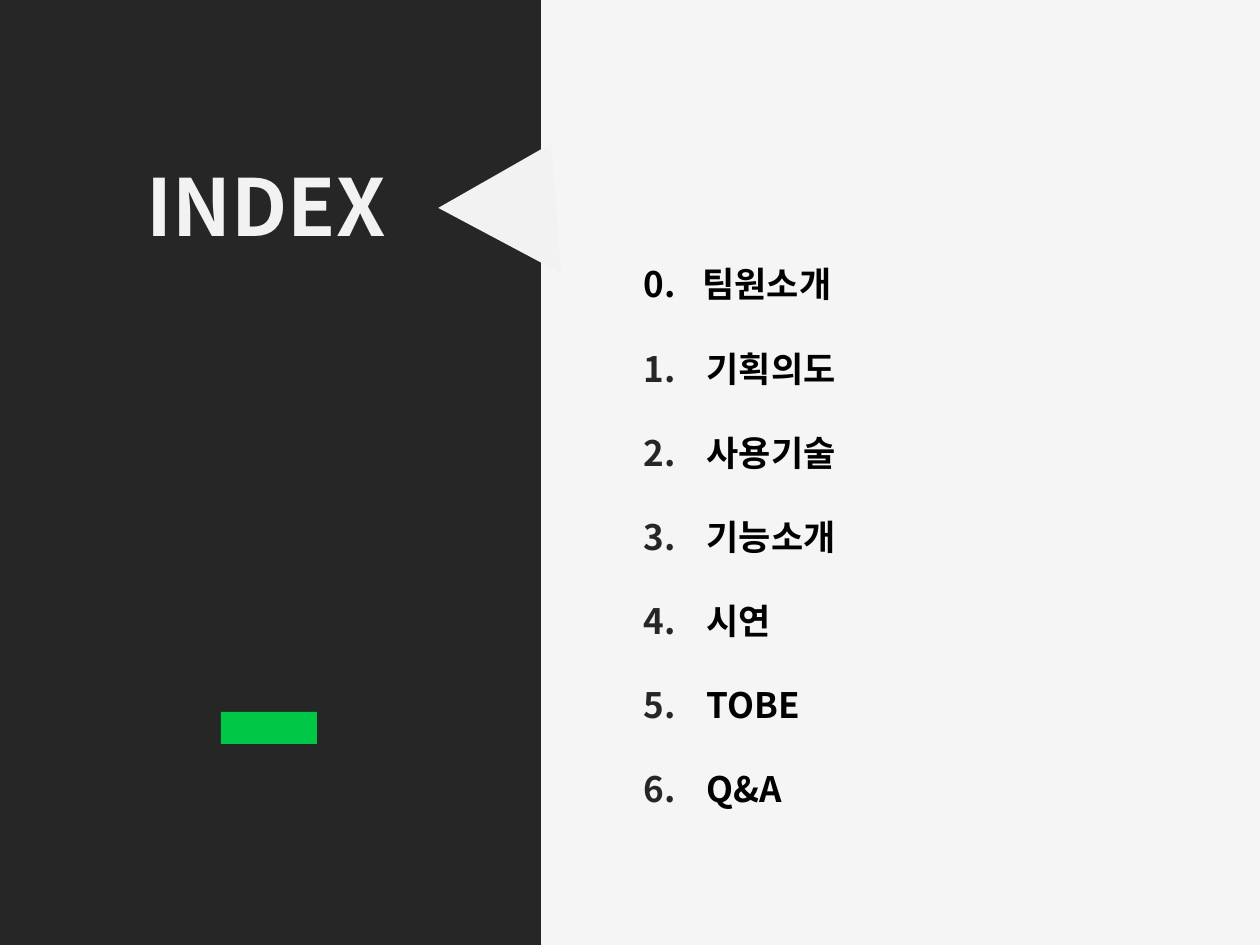
import pptx
import pptx.dml.color
import pptx.enum.shapes
import pptx.enum.text
import pptx.oxml.ns
import pptx.util
from lxml import etree

PX = 914400 / 126
KOREAN = "Noto Sans CJK KR"
DARK, LIGHT, BLACK, GREEN = "262626", "F2F2F2", "000000", "00C746"
TOPICS = ["기획의도", "사용기술", "기능소개", "시연", "TOBE", "Q&A"]


def px(length):
    return pptx.util.Emu(round(length * PX))


def colour(code):
    return pptx.dml.color.RGBColor.from_string(code)


def child(parent, tag, **attributes):
    return etree.SubElement(parent, pptx.oxml.ns.qn(tag), attributes)


def place(shape, left, top, width, height):
    shape.left, shape.top = px(left), px(top)
    shape.width, shape.height = px(width), px(height)


def add_backdrop(page, kind, bounds, fill, rotation=0):
    shape = page.shapes.add_shape(kind, *map(px, bounds))
    shape.shadow.inherit = False
    shape.fill.solid()
    shape.fill.fore_color.rgb = colour(fill)
    shape.line.fill.background()
    shape.rotation = rotation
    page.shapes.title.element.addprevious(shape.element)


def prepare_frame(box):
    frame = box.text_frame
    frame.word_wrap = True
    frame.auto_size = pptx.enum.text.MSO_AUTO_SIZE.NONE
    frame.vertical_anchor = pptx.enum.text.MSO_ANCHOR.TOP
    return frame


def add_text(para, text, size=20, font=KOREAN, fill=BLACK, bold=True):
    para.alignment = pptx.enum.text.PP_ALIGN.LEFT
    span = para.add_run()
    span.text = text
    span.font.size = pptx.util.Pt(size)
    span.font.bold = bold
    span.font.name = font
    span.font.color.rgb = colour(fill)
    child(span.font._element, "a:ea", typeface=font)


def format_item(para, indent):
    para.line_spacing = 2.0
    para.space_before = pptx.util.Pt(0)
    properties = para._p.get_or_add_pPr()
    properties.set("marL", str(px(indent)))
    properties.set("indent", str(-px(indent)))
    return properties


def add_numbered_list(frame, topics):
    for index, topic in enumerate(topics):
        para = frame.add_paragraph() if index else frame.paragraphs[0]
        add_text(para, topic)
        properties = format_item(para, 63)
        child(child(properties, "a:buClr"), "a:srgbClr", val=DARK)
        child(properties, "a:buFont", typeface=KOREAN)
        child(properties, "a:buAutoNum", type="arabicPeriod")


def main():
    deck = pptx.Presentation()
    deck.slide_width, deck.slide_height = px(1260), px(945)
    page = deck.slides.add_slide(deck.slide_layouts[1])
    page.background.fill.solid()
    page.background.fill.fore_color.rgb = colour("F5F5F5")

    shapes = pptx.enum.shapes.MSO_SHAPE
    add_backdrop(page, shapes.RECTANGLE, (0, 0, 541, 945), DARK)
    add_backdrop(page, shapes.ISOSCELES_TRIANGLE, (456, 137, 139, 110), LIGHT, 28)
    add_backdrop(page, shapes.RECTANGLE, (221, 712, 96, 32), GREEN)

    title = page.shapes.title
    place(title, 134, 151, 273, 108)
    add_text(prepare_frame(title).paragraphs[0], "INDEX", size=45, fill=LIGHT)

    body = page.placeholders[1]
    place(body, 631, 299, 231, 564)
    add_numbered_list(prepare_frame(body), TOPICS)

    opening_box = page.shapes.add_textbox(*map(px, (631, 214, 234, 140)))
    opening = prepare_frame(opening_box).paragraphs[0]
    add_text(opening, "0.\t팀원소개")
    format_item(opening, 59)

    deck.save("out.pptx")


if __name__ == "__main__":
    main()
